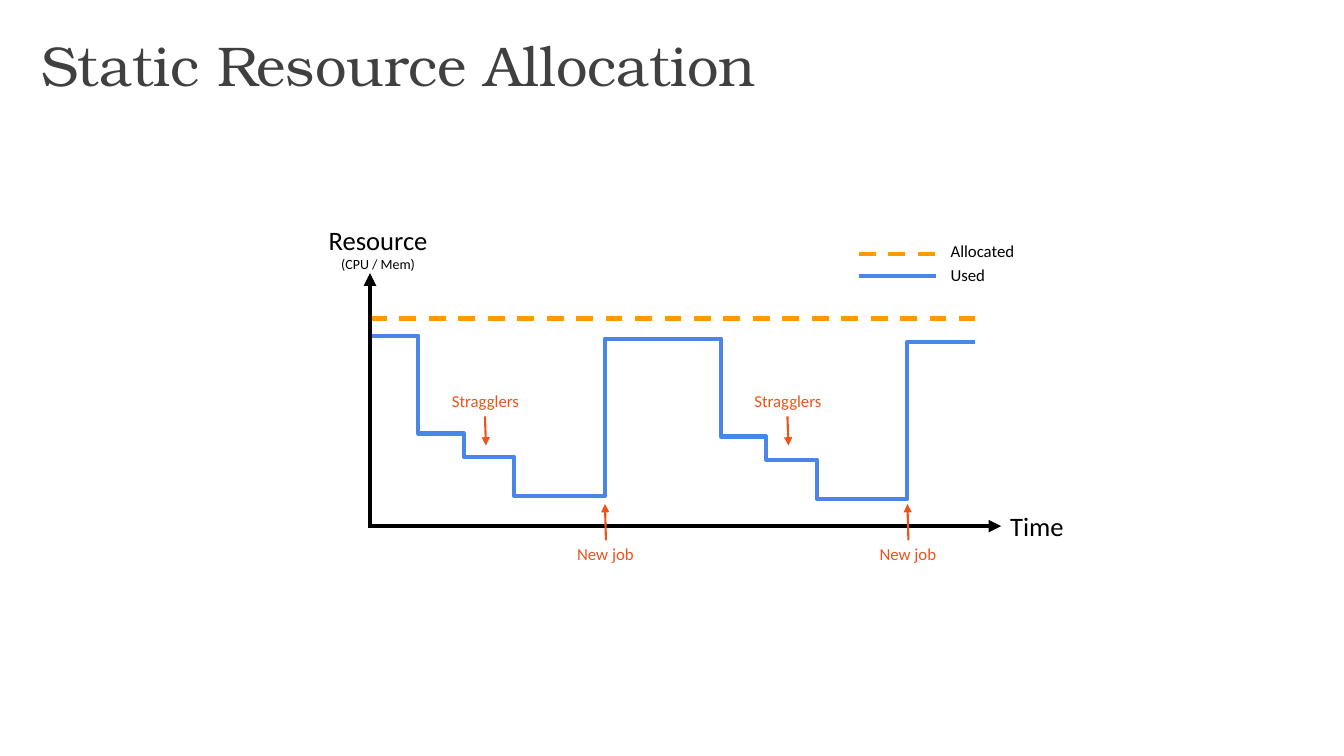
from collections import namedtuple

from lxml.etree import SubElement
from pptx import Presentation
from pptx.dml.color import RGBColor
from pptx.enum.dml import MSO_LINE_DASH_STYLE as Dash
from pptx.enum.shapes import MSO_CONNECTOR as Connector
from pptx.enum.text import MSO_ANCHOR as Anchor, PP_ALIGN as Align
from pptx.oxml.ns import qn
from pptx.util import Inches, Pt

Box = namedtuple("Box", "left top width height")
WIDTH, HEIGHT = Inches(13.33), Inches(7.5)
ROWS = 75
CELL = HEIGHT / ROWS
BLACK, GREY, ORANGE, BLUE, RED = "000000", "404040", "FF9900", "4A86E8", "EC541B"
BODY_FONT, TITLE_FONT = "Calibri", "TeX Gyre Bonum"
LABEL_HEIGHT = 4.1
STEPS = [(4.8, 9.7), (9.3, 12), (14.3, 15.9), (23.3, 0.3)]


def grid(cells):
    return round(cells * CELL)


def color(hex_code):
    return RGBColor.from_string(hex_code)


def add_label(slide, box, lines, hex_code, align=Align.CENTER,
              font=BODY_FONT, anchor=Anchor.MIDDLE, insets=(1, 1)):
    frame = slide.shapes.add_textbox(*map(grid, box)).text_frame
    across, down = map(grid, insets)
    layout = {"word_wrap": True, "vertical_anchor": anchor,
              "margin_left": across, "margin_right": across,
              "margin_top": down, "margin_bottom": down}
    for name, value in layout.items():
        setattr(frame, name, value)
    for index, (text, size) in enumerate(lines):
        paragraph = frame.add_paragraph() if index else frame.paragraphs[0]
        paragraph.alignment = align
        run = paragraph.add_run()
        run.text = text
        run.font.name, run.font.size = font, Pt(size)
        run.font.color.rgb = color(hex_code)


def add_line(slide, start, end, hex_code, weight=3, dashed=False, arrow=False):
    line = slide.shapes.add_connector(Connector.STRAIGHT, *map(grid, start + end))
    line.line.color.rgb = color(hex_code)
    line.line.width = Pt(weight)
    if dashed:
        line.line.dash_style = Dash.DASH
    properties = line._element.spPr
    if arrow:
        SubElement(properties.find(qn("a:ln")), qn("a:tailEnd"), type="triangle")
    SubElement(properties, qn("a:effectLst"))


def add_usage(slide, cycle):
    points, level = [], 0
    for across, down in STEPS:
        points += [(across, level), (across, down)]
        level = down
    points.append((cycle.width, level))
    corners = [(grid(cycle.left + x), grid(cycle.top + y)) for x, y in points]
    builder = slide.shapes.build_freeform(grid(cycle.left), grid(cycle.top))
    builder.add_line_segments(corners, close=False)
    usage = builder.convert_to_shape()
    usage.shadow.inherit = False
    usage.fill.background()
    usage.line.color.rgb = color(BLUE)
    usage.line.width = Pt(3)


def add_events(slide, cycle):
    left, top = cycle.left, cycle.top
    job, straggler = left + 23.3, left + 11.4
    add_line(slide, (job + 0.1, top + 20.3), (job, top + 16.7), RED, 1.5, arrow=True)
    add_label(slide, Box(job - 4.4, top + 19.6, 8.9, LABEL_HEIGHT),
              [("New job", 12)], RED)
    add_line(slide, (straggler, top + 8), (straggler + 0.1, top + 10.9),
             RED, 1.5, arrow=True)
    add_label(slide, Box(straggler - 5.2, top + 4.4, 10.5, LABEL_HEIGHT),
              [("Stragglers", 12)], RED)


def add_plot(slide, plot):
    left, top, width, height = plot
    right, bottom = left + width, top + height
    add_line(slide, (left - 0.1, bottom - 0.2), (right + 2.6, bottom - 0.2),
             BLACK, arrow=True)
    add_label(slide, Box(left - 6.2, top - 5.5, 14, 6),
              [("Resource", 19), ("(CPU / Mem)", 10)], BLACK)
    cycles = [Box(left + i * width / 2, top + 6.2 + i * 0.3, width / 2, 15.9)
              for i in range(2)]
    for cycle in cycles:
        add_usage(slide, cycle)
    add_line(slide, (left, top + 4.5), (right, top + 4.5), ORANGE, dashed=True)
    add_line(slide, (left, bottom), (left, top), BLACK, arrow=True)
    for cycle in cycles:
        add_events(slide, cycle._replace(top=cycles[0].top))
    add_label(slide, Box(right + 1.6, bottom - 2.3, 9.1, LABEL_HEIGHT),
              [("Time", 19)], BLACK)


def add_legend(slide, legend):
    entries = [("Allocated", ORANGE, True, 8.3), ("Used", BLUE, False, 7.6)]
    row = legend.height / len(entries)
    for index, (name, hex_code, dashed, length) in enumerate(entries):
        y = legend.top + index * row
        add_line(slide, (legend.left, y), (legend.left + length, y),
                 hex_code, dashed=dashed)
        add_label(slide, Box(legend.left + 8.1, legend.top - 2.4 + index * 2.4,
                             legend.width - 8.1, LABEL_HEIGHT),
                  [(name, 12)], BLACK, Align.LEFT)


def add_title(slide, box):
    add_label(slide, box, [("Static Resource Allocation", 40)], GREY,
              Align.LEFT, TITLE_FONT, Anchor.TOP, (1.3, 0.7))


def main():
    deck = Presentation()
    deck.slide_width, deck.slide_height = WIDTH, HEIGHT
    slide = deck.slides.add_slide(deck.slide_layouts[6])
    add_title(slide, Box(2.8, 2.3, 93.6, 9.4))
    add_plot(slide, Box(36.7, 27.1, 60, 25.3))
    add_legend(slide, Box(85.2, 25.2, 18.5, 4.4))
    deck.save("out.pptx")


if __name__ == "__main__":
    main()
